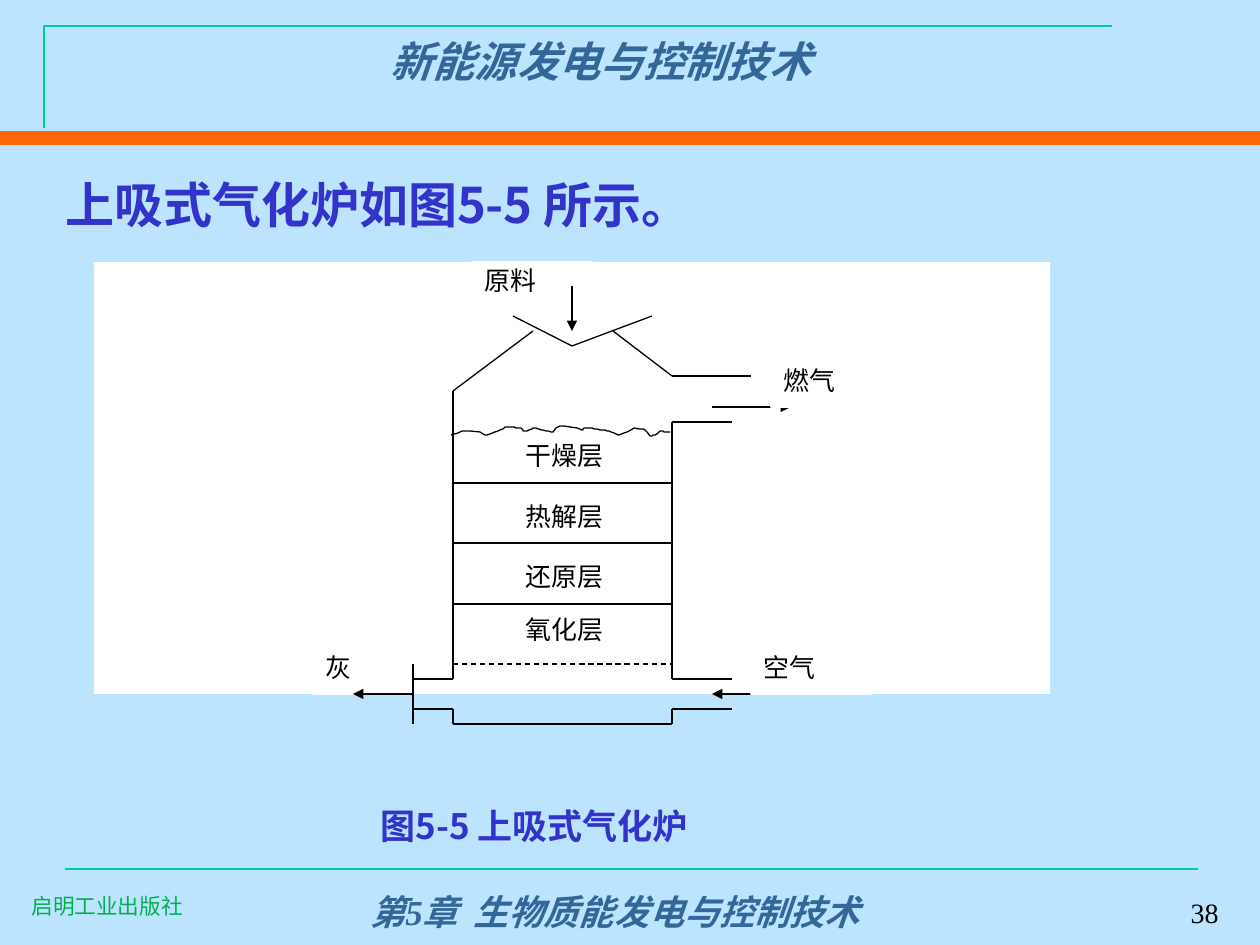
from lxml import etree
from pptx import Presentation
from pptx.dml.color import RGBColor
from pptx.enum.dml import MSO_LINE
from pptx.enum.shapes import MSO_CONNECTOR, MSO_SHAPE
from pptx.enum.text import MSO_ANCHOR, MSO_AUTO_SIZE, PP_ALIGN
from pptx.oxml.ns import qn
from pptx.util import Pt

STRAIGHT = MSO_CONNECTOR.STRAIGHT
RECTANGLE = MSO_SHAPE.RECTANGLE
DASH = MSO_LINE.DASH
TOP, BOTTOM = MSO_ANCHOR.TOP, MSO_ANCHOR.BOTTOM
LEFT, CENTER, RIGHT = PP_ALIGN.LEFT, PP_ALIGN.CENTER, PP_ALIGN.RIGHT
NO_FIT = MSO_AUTO_SIZE.NONE

SCALE = 914400 / 126
COLORS = {
    "background": "BDE4FF", "orange": "FF6600", "teal": "00CC99",
    "steel": "336699", "green": "00B050", "indigo": "3333CC",
    "black": "000000", "white": "FFFFFF",
}
SANS, SANS_JP, SERIF = "Noto Sans CJK SC", "Noto Sans CJK JP", "Times New Roman"

TITLE = dict(text="上吸式气化炉如图5-5 所示。", size=28, color="indigo", bold=True)
TITLE_BOX = (53, 168, 766, 72)
TEXTS = [
    ((207, 29, 788, 79), TOP, dict(text="新能源发电与控制技术", size=24, color="steel",
                                   bold=True, italic=True, align=CENTER)),
    ((19, 886, 236, 39), BOTTOM, dict(text="启明工业出版社", size=12.4, color="green",
                                      latin=SANS_JP, asian=SANS_JP, spacing=0.8)),
    ((1023, 872, 208, 63), BOTTOM, dict(text="38", size=16, latin=SERIF, align=RIGHT)),
    ((314, 876, 602, 63), BOTTOM, dict(text="第5章  生物质能发电与控制技术", size=20,
                                       color="steel", latin=SERIF, bold=True,
                                       italic=True, align=CENTER)),
    ((368, 798, 693, 55), TOP, dict(text="图5-5 上吸式气化炉", size=20,
                                    color="indigo", bold=True)),
]

PANEL = (94, 262, 956, 432)
WALL_LEFT, WALL_RIGHT = 453, 672
GRATE, FLOOR_TOP, FLOOR_LOW, BASE = 664, 679, 709, 724
DOOR, PIPE_END = 413, 732
LABEL_WIDTH, LABEL_HEIGHT = 120, 45
BACK_LABELS = [("原料", 472, 262, LABEL_WIDTH), ("灰", 313, 649, 80)]
FRONT_LABELS = [
    ("燃气", 771, 362, LABEL_WIDTH),
    ("干燥层", 513, 437, LABEL_WIDTH),
    ("热解层", 513, 498, LABEL_WIDTH),
    ("还原层", 513, 558, LABEL_WIDTH),
    ("空气", 751, 649, LABEL_WIDTH),
    ("氧化层", 513, 611, LABEL_WIDTH),
]
OUTLINE = [
    (513, 316, 572, 346), (652, 316, 572, 346),
    (533, 331, WALL_LEFT, 391), (613, 331, WALL_RIGHT, 376),
    (WALL_RIGHT, 376, 751, 376), (WALL_RIGHT, 422, PIPE_END, 422),
    (WALL_LEFT, 391, WALL_LEFT, FLOOR_TOP), (WALL_RIGHT, 422, WALL_RIGHT, FLOOR_TOP),
    (DOOR, GRATE, DOOR, BASE), (WALL_LEFT, BASE, WALL_RIGHT, BASE),
    (WALL_LEFT, FLOOR_LOW, WALL_LEFT, BASE), (WALL_RIGHT, FLOOR_LOW, WALL_RIGHT, BASE),
]
for floor in (FLOOR_TOP, FLOOR_LOW):
    OUTLINE += [(DOOR, floor, WALL_LEFT, floor), (WALL_RIGHT, floor, PIPE_END, floor)]
ARROWS = [(791, 694, 712, 694), (DOOR, 694, 353, 694),
          (712, 407, 791, 407), (572, 286, 572, 331)]
LAYER_LINES = [604, 543, 483]

SURFACE_START = (451, 435)
SURFACE_CURVES = [
    ((467, 430), (459, 431), (480, 432)), ((488, 437), (483, 436), (495, 432)),
    ((499, 432), (505, 427), (505, 427)), ((510, 427), (515, 427), (519, 428)),
    ((522, 428), (523, 431), (524, 431)), ((528, 431), (534, 428), (534, 428)),
    ((537, 428), (540, 430), (543, 430)), ((547, 431), (553, 432), (553, 432)),
    ((559, 423), (563, 427), (577, 428)), ((590, 432), (575, 428), (590, 428)),
    ((593, 428), (598, 430), (602, 430)), ((605, 430), (607, 431), (609, 431)),
    ((612, 432), (619, 435), (619, 435)), ((631, 431), (626, 433), (634, 428)),
    ((644, 430), (645, 428), (650, 436)), ((653, 435), (654, 435), (655, 435)),
    ((658, 433), (659, 432), (660, 431)), ((663, 431), (664, 432), (665, 432)),
    ((668, 433), (669, 432), (670, 432)),
]


def emu(*lengths):
    return [round(length * SCALE) for length in lengths]


def rgb(name):
    return RGBColor.from_string(COLORS[name])


def write(text_frame, text, size, color="black", latin=SANS, asian=SANS,
          bold=False, italic=False, align=LEFT, spacing=1.0):
    text_frame.word_wrap = True
    text_frame.text = text
    paragraph = text_frame.paragraphs[0]
    paragraph.alignment = align
    paragraph.line_spacing = spacing
    for run in paragraph.runs:
        font = run.font
        font.size, font.bold, font.italic, font.name = Pt(size), bold, italic, latin
        font.color.rgb = rgb(color)
        east_asian = etree.SubElement(run._r.get_or_add_rPr(), qn("a:ea"))
        east_asian.set("typeface", asian)


def style_line(shape, color, width):
    shape.line.color.rgb = rgb(color)
    shape.line.width = Pt(width)


def add_line(shapes, ends, color="black", width=0.75, arrow=False):
    connector = shapes.add_connector(STRAIGHT, *emu(*ends))
    style_line(connector, color, width)
    if arrow:
        tail = etree.SubElement(connector.line._get_or_add_ln(), qn("a:tailEnd"))
        tail.set("type", "triangle")
    etree.SubElement(connector._element.spPr, qn("a:effectLst"))
    return connector


def add_white_box(shapes, box):
    shape = shapes.add_shape(RECTANGLE, *emu(*box))
    shape.shadow.inherit = False
    shape.fill.solid()
    shape.fill.fore_color.rgb = rgb("white")
    return shape


def add_labels(shapes, labels):
    for text, left, top, width in labels:
        shape = add_white_box(shapes, (left, top, width, LABEL_HEIGHT))
        style_line(shape, "white", 0.75)
        shape.text_frame.vertical_anchor = TOP
        write(shape.text_frame, text, 14.8, latin=SERIF, spacing=0.9)


def add_path(shapes, points, color, width):
    builder = shapes.build_freeform(*points[0], scale=SCALE)
    builder.add_line_segments(points[1:], close=False)
    shape = builder.convert_to_shape()
    shape.shadow.inherit = False
    style_line(shape, color, width)
    return shape


def curve_points(start, curves, steps=5):
    points = [start]
    for first, second, end in curves:
        begin = points[-1]
        for step in range(1, steps + 1):
            t = step / steps
            u = 1 - t
            points.append(tuple(
                u**3 * a + 3 * u * u * t * b + 3 * u * t * t * c + t**3 * d
                for a, b, c, d in zip(begin, first, second, end)))
    return points


def add_furnace(slide):
    shapes = slide.shapes.add_group_shape().shapes
    add_white_box(shapes, PANEL).line.fill.background()
    add_labels(shapes, BACK_LABELS)
    for ends in OUTLINE:
        add_line(shapes, ends)
    add_line(shapes, (WALL_LEFT, GRATE, WALL_RIGHT, GRATE)).line.dash_style = DASH
    for ends in ARROWS:
        add_line(shapes, ends, arrow=True)
    surface = add_path(shapes, curve_points(SURFACE_START, SURFACE_CURVES), "black", 0.75)
    surface.fill.solid()
    surface.fill.fore_color.rgb = rgb("white")
    add_labels(shapes, FRONT_LABELS)
    for y in LAYER_LINES:
        add_line(shapes, (WALL_LEFT, y, WALL_RIGHT, y))


def main():
    presentation = Presentation()
    presentation.slide_width, presentation.slide_height = emu(1260, 945)
    slide = presentation.slides.add_slide(presentation.slide_layouts[5])
    slide.background.fill.solid()
    slide.background.fill.fore_color.rgb = rgb("background")

    add_line(slide.shapes, (0, 138, 1260, 138), "orange", 8)
    add_line(slide.shapes, (65, 869, 1198, 869), "teal", 1.5)
    add_path(slide.shapes, [(44, 128), (44, 26), (1112, 26)], "teal", 1.5).fill.background()

    title = slide.shapes.title
    title.left, title.top, title.width, title.height = emu(*TITLE_BOX)
    title.text_frame.vertical_anchor = TOP
    title.text_frame.auto_size = NO_FIT
    write(title.text_frame, **TITLE)
    for box, anchor, content in TEXTS:
        text_box = slide.shapes.add_textbox(*emu(*box))
        text_box.text_frame.vertical_anchor = anchor
        write(text_box.text_frame, **content)
    add_furnace(slide)
    presentation.save("out.pptx")


if __name__ == "__main__":
    main()
